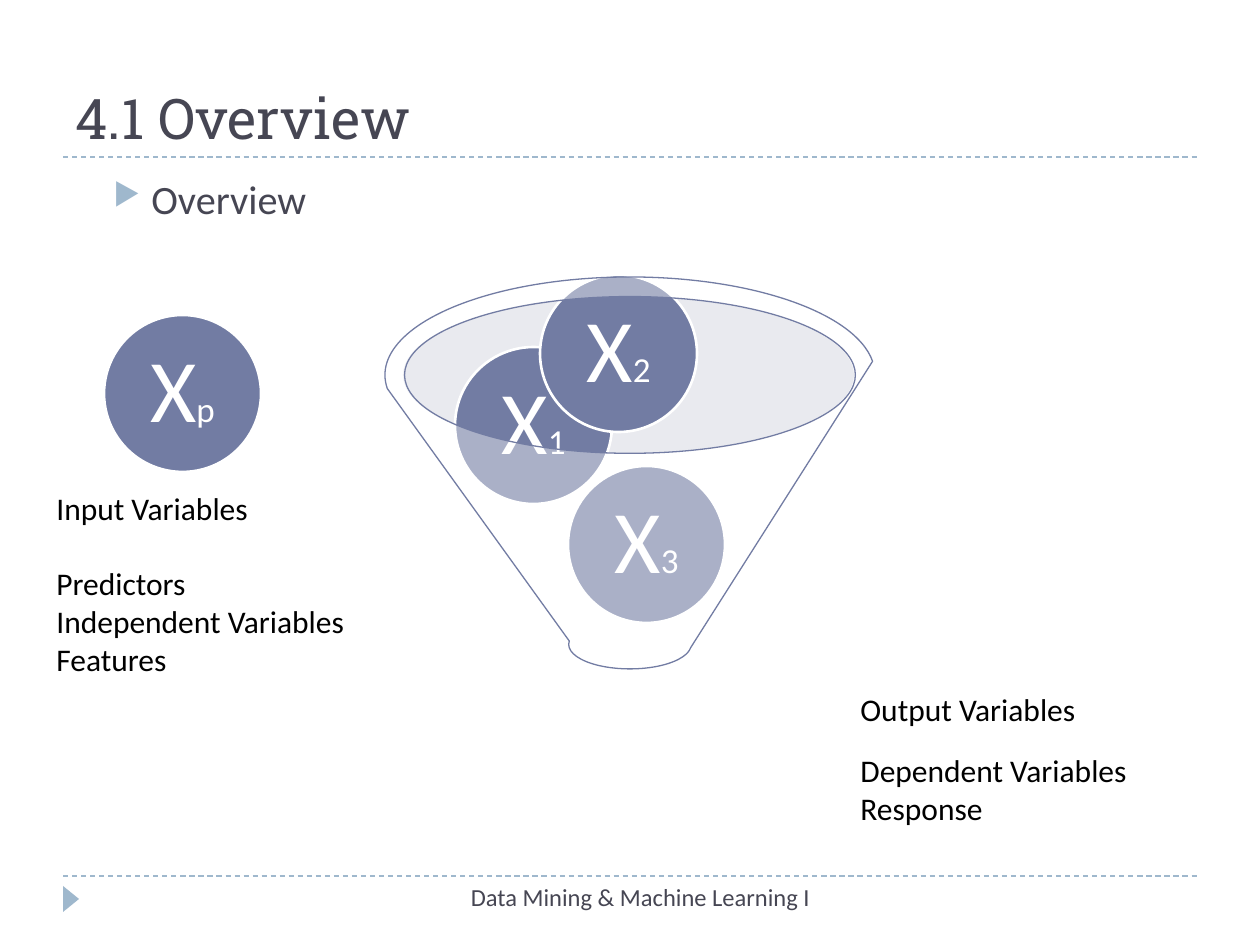
from lxml import etree
from pptx import Presentation
from pptx.dml.color import RGBColor
from pptx.enum.dml import MSO_LINE
from pptx.enum.shapes import MSO_CONNECTOR, MSO_SHAPE
from pptx.enum.text import MSO_ANCHOR, PP_ALIGN
from pptx.oxml.ns import qn
from pptx.util import Pt

EMU_PER_PX = 914400 / 126

WHITE = RGBColor(0xFF, 0xFF, 0xFF)
BLACK = RGBColor(0x00, 0x00, 0x00)
SLATE = RGBColor(0x46, 0x46, 0x53)
SKY = RGBColor(0x9F, 0xB8, 0xCD)
INDIGO = RGBColor(0x72, 0x7C, 0xA3)
MIST = RGBColor(0xC9, 0xCC, 0xD7)

BODY_FONT = "Calibri"
TITLE_FONT = "Roboto Slab"

ELLIPSE = MSO_SHAPE.OVAL
FUNNEL = MSO_SHAPE.FUNNEL
TRIANGLE = MSO_SHAPE.ISOSCELES_TRIANGLE
STRAIGHT = MSO_CONNECTOR.STRAIGHT
DASH = MSO_LINE.DASH
LEFT, CENTER = PP_ALIGN.LEFT, PP_ALIGN.CENTER
TOP, MIDDLE, BOTTOM = MSO_ANCHOR.TOP, MSO_ANCHOR.MIDDLE, MSO_ANCHOR.BOTTOM

BALL_SIZE = 157


def px(length):
    return round(length * EMU_PER_PX)


def style_font(font, color, name=BODY_FONT, size=None):
    font.name = name
    font.color.rgb = color
    if size:
        font.size = Pt(size)


def add_rule(slide, y):
    rule = slide.shapes.add_connector(STRAIGHT, px(63), px(y), px(1197), px(y))
    rule.line.color.rgb = SKY
    rule.line.width = Pt(0.75)
    rule.line.dash_style = DASH
    etree.SubElement(rule._element.spPr, qn("a:effectLst"))


def add_figure(slide, preset, box, fill, line=None, width=0.75, opacity=None):
    figure = slide.shapes.add_shape(preset, *map(px, box))
    figure.shadow.inherit = False
    figure.fill.solid()
    figure.fill.fore_color.rgb = fill
    if opacity is not None:
        color = figure._element.spPr.find(qn("a:solidFill"))[0]
        etree.SubElement(color, qn("a:alpha"), val=str(opacity * 1000))
    if line is None:
        figure.line.fill.background()
    else:
        figure.line.color.rgb = line
        figure.line.width = Pt(width)
    return figure


def add_ball(slide, left, top, subscript):
    ball = add_figure(slide, ELLIPSE, (left, top, BALL_SIZE, BALL_SIZE),
                      INDIGO, WHITE, 1.5)
    frame = ball.text_frame
    frame.word_wrap = True
    frame.vertical_anchor = MIDDLE
    frame.margin_left = frame.margin_right = px(9)
    frame.margin_top = frame.margin_bottom = px(9)
    label = frame.paragraphs[0]
    label.alignment = CENTER
    label.line_spacing = 0.9
    style_font(label.font, WHITE)
    for text, size in (("X", 51), (subscript, 20)):
        run = label.add_run()
        run.text = text
        run.font.size = Pt(size)


def add_text(slide, box, lines, size, color, font=BODY_FONT, align=LEFT, anchor=TOP):
    frame = slide.shapes.add_textbox(*map(px, box)).text_frame
    frame.word_wrap = True
    frame.vertical_anchor = anchor
    frame.text = "\n".join(lines)
    for paragraph in frame.paragraphs:
        paragraph.alignment = align
        style_font(paragraph.font, color, font, size)
    return frame


def add_bullet(paragraph):
    paragraph.space_before = Pt(5)
    properties = paragraph._p.get_or_add_pPr()
    properties.set("marL", str(px(76)))
    properties.set("indent", str(px(-38)))
    bullet_color = etree.Element(qn("a:buClr"))
    etree.SubElement(bullet_color, qn("a:srgbClr"), val=str(SKY))
    bullet_size = etree.Element(qn("a:buSzPct"), val="76000")
    bullet_char = etree.Element(qn("a:buChar"), char="▶")
    default_font = properties.find(qn("a:defRPr"))
    for part in (bullet_color, bullet_size, bullet_char):
        default_font.addprevious(part)


def main():
    prs = Presentation()
    prs.slide_width, prs.slide_height = px(1260), px(945)
    slide = prs.slides.add_slide(prs.slide_layouts[6])

    # Rules and footer marker
    for y in (876, 157):
        add_rule(slide, y)
    marker = add_figure(slide, TRIANGLE, (58, 891, 26, 16), SKY)
    marker.rotation = 90

    # Title, topic and footer
    add_text(slide, (63, 21, 1134, 136), ["4.1 Overview"], 32, SLATE,
             TITLE_FONT, anchor=BOTTOM)
    topic = add_text(slide, (63, 168, 1134, 680), ["Overview"], 23, SLATE)
    add_bullet(topic.paragraphs[0])
    add_text(slide, (399, 876, 483, 50), ["Data Mining & Machine Learning I"],
             14, SLATE, align=CENTER)

    # Funnel with the input variables inside
    add_figure(slide, ELLIPSE, (403, 297, 451, 156), MIST, opacity=40)
    for left, top, subscript in ((568, 466, "3"), (455, 347, "1"), (540, 275, "2")):
        add_ball(slide, left, top, subscript)
    add_figure(slide, FUNNEL, (385, 277, 490, 392), WHITE, INDIGO, opacity=40)

    # Input variable outside the funnel
    add_ball(slide, 104, 315, "p")

    # Names of the inputs and outputs
    for left, top, height, lines in (
        (44, 483, 50, ["Input Variables"]),
        (848, 684, 50, ["Output Variables"]),
        (44, 558, 127, ["Predictors", "Independent Variables", "Features"]),
        (848, 745, 89, ["Dependent Variables", "Response"]),
    ):
        add_text(slide, (left, top, 333, height), lines, 18, BLACK)

    prs.save("out.pptx")


if __name__ == "__main__":
    main()
